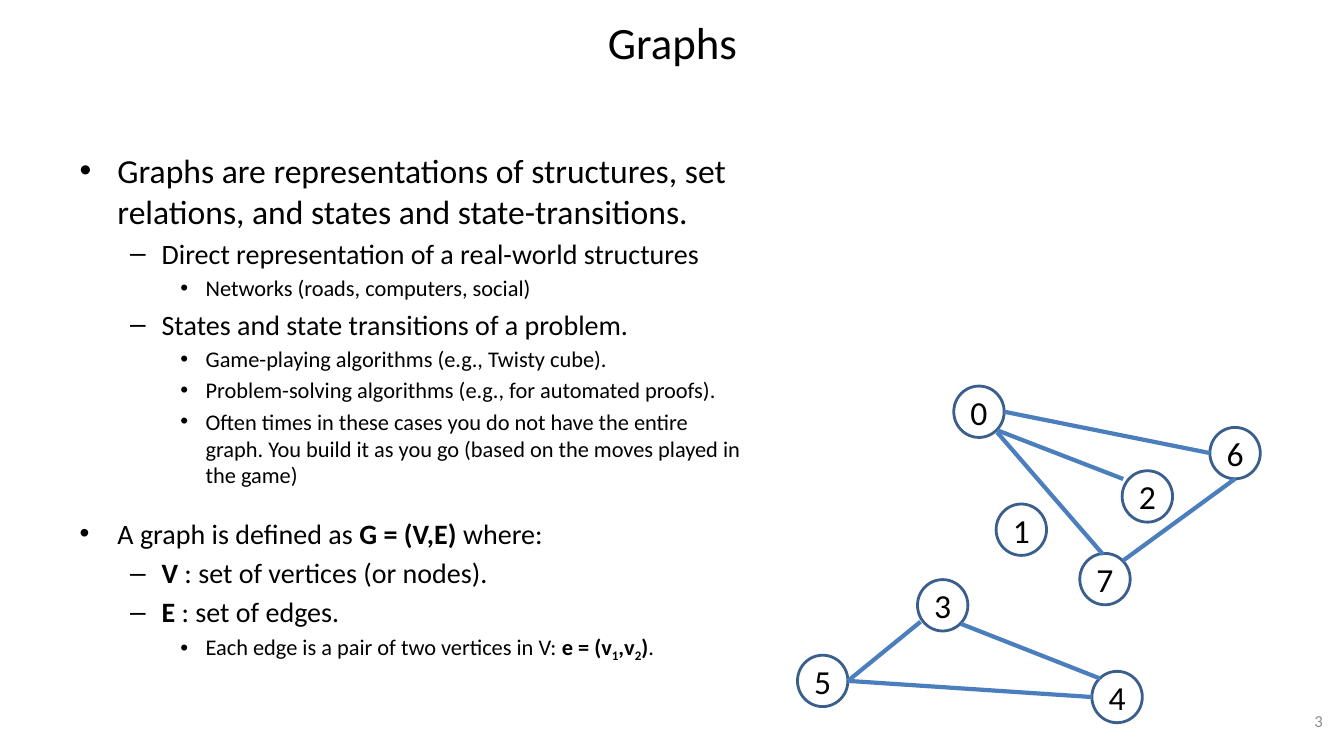
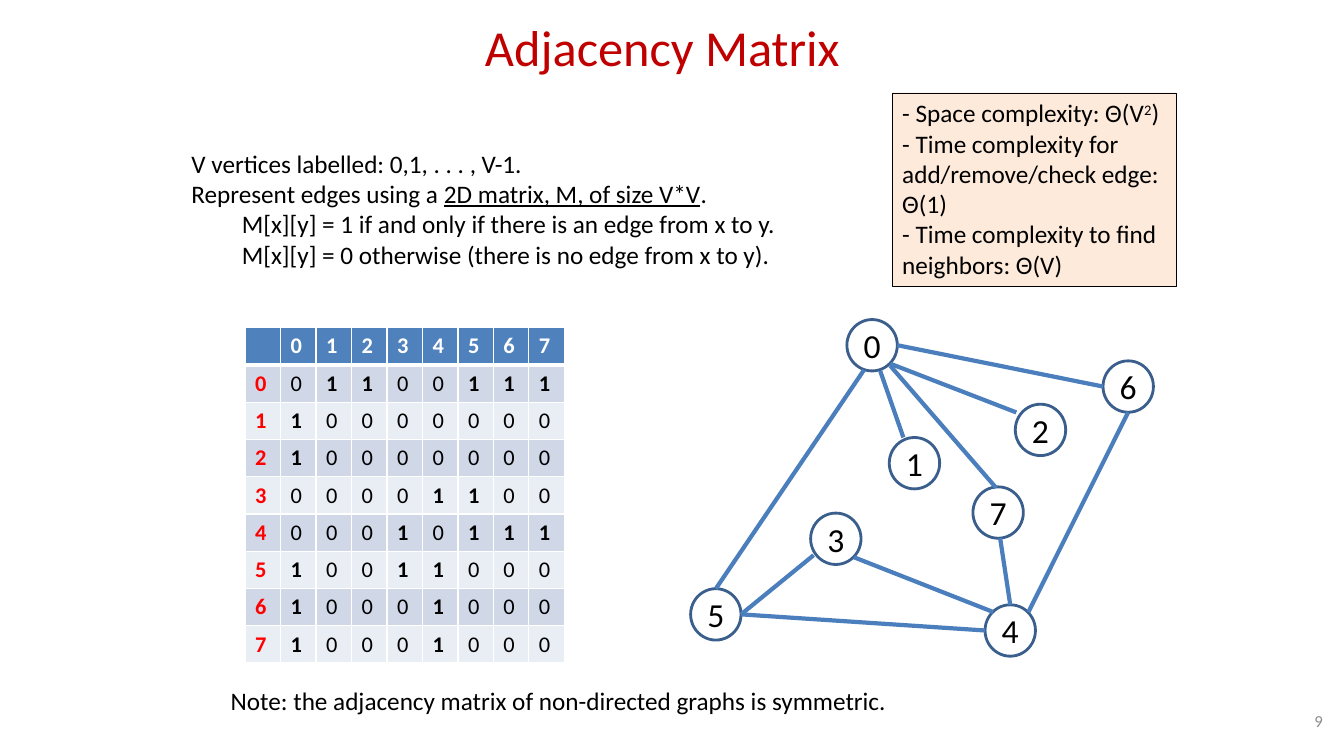
"""Build two slides on graphs and their adjacency matrix."""
from lxml.etree import SubElement
from pptx import Presentation
from pptx.dml.color import RGBColor
from pptx.enum.shapes import MSO_CONNECTOR, MSO_SHAPE
from pptx.enum.text import MSO_ANCHOR, MSO_AUTO_SIZE, PP_ALIGN
from pptx.oxml.ns import qn
from pptx.util import Inches, Pt

FONT = "Calibri"
BLACK, WHITE, GREY = "000000", "FFFFFF", "8C8C8C"
TITLE_RED, LABEL_RED = "C00000", "FF0000"
NODE_LINE, EDGE_LINE = "3A5F8C", "4B7EBC"
HEADER_FILL, BAND_FILLS = "4F81BD", ("D0D8E8", "E9EDF4")
PEACH = "FDEADA"

LEVEL_SIZES = (24, 20, 16)
SECTION_GAP = 20
GRAPH_POINTS = [
    (0, 24, ["Graphs are representations of structures, set relations, and states and state-transitions."]),
    (1, 20, ["Direct representation of a real-world structures"]),
    (2, 16, ["Networks (roads, computers, social)"]),
    (1, 20, ["States and state transitions of a problem."]),
    (2, 16, ["Game-playing algorithms (e.g., Twisty cube)."]),
    (2, 16, ["Problem-solving algorithms (e.g., for automated proofs)."]),
    (2, 16, ["Often times in these cases you do not have the entire graph. "
             "You build it as you go (based on the moves played in the game)"]),
    (0, 20, ["A graph is defined as ", ("G = (V,E)", "bold"), " where:"]),
    (1, 20, [("V", "bold"), " : set of vertices (or nodes)."]),
    (1, 20, [("E", "bold"), " : set of edges."]),
    (2, 16, ["Each edge is a pair of two vertices in V: ", ("e = (v", "bold"),
             ("1", "bold sub"), (",v", "bold"), ("2", "bold sub"), (")", "bold"), "."]),
]
DEFINITION_START = 7

MATRIX_RULES = [
    (0, ["V vertices labelled: 0,1, . . . , V-1."]),
    (0, ["Represent edges using a ", ("2D matrix, M, of size V*V", "underline"), "."]),
    (0.5, ["M[x][y] = 1 if and only if there is an edge from x to y."]),
    (0.5, ["M[x][y] = 0 otherwise (there is no edge from x to y)."]),
]
COMPLEXITIES = [
    (0, ["- Space complexity: Θ(V", ("2", "super"), ")"]),
    (0, ["- Time complexity for add/remove/check edge: Θ(1)"]),
    (0, ["- Time complexity to find neighbors: Θ(V)"]),
]
SYMMETRY_NOTE = [(0, ["Note: the adjacency matrix of non-directed graphs is symmetric."])]

NODE_SIZE = (0.5, 0.51)
NODE_OFFSETS = [(0, 0), (0.42, 1.17), (1.67, 0.84), (-0.36, 1.92),
                (1.37, 2.83), (-1.55, 2.67), (2.54, 0.41), (1.25, 1.66)]

LEFT, RIGHT, TOP, BOTTOM = (0, 0.5), (1, 0.5), (0.5, 0), (0.5, 1)
UPPER_LEFT, UPPER_RIGHT = (0.16, 0.14), (0.86, 0.14)
LOWER_LEFT, LOWER_RIGHT = (0.06, 0.82), (0.86, 0.86)
SHARED_EDGES = {
    (0, 6): (RIGHT, LEFT),
    (0, 2): (LOWER_RIGHT, (0.02, 0.16)),
    (0, 7): ((0.86, 0.9), (0.46, 0.02)),
    (5, 3): (RIGHT, LOWER_LEFT),
    (5, 4): (RIGHT, LEFT),
    (3, 4): (LOWER_RIGHT, UPPER_LEFT),
}
SPLIT_GRAPH = {**SHARED_EDGES, (6, 7): (BOTTOM, UPPER_RIGHT)}
JOINED_GRAPH = {
    **SHARED_EDGES,
    (0, 1): ((0.66, 1), (0.28, 0)),
    (0, 5): ((0.34, 0.98), TOP),
    (7, 4): ((0.54, 1), TOP),
    (6, 4): (BOTTOM, UPPER_RIGHT),
}


def rgb(value):
    """Turn a hex string into a colour."""
    return RGBColor.from_string(value)


def place(part, left, top, width, height):
    """Set a part's position and size in inches."""
    part.left, part.top = Inches(left), Inches(top)
    part.width, part.height = Inches(width), Inches(height)


def style(paragraph, size, color=BLACK, bold=None):
    """Set the font of a whole paragraph."""
    font = paragraph.font
    font.name, font.size, font.bold = FONT, Pt(size), bold
    font.color.rgb = rgb(color)


def add_runs(paragraph, pieces):
    """Write plain strings and (text, emphasis) pairs as runs."""
    for piece in pieces:
        text, emphasis = (piece, "") if isinstance(piece, str) else piece
        run = paragraph.add_run()
        run.text = text
        if "bold" in emphasis:
            run.font.bold = True
        if "underline" in emphasis:
            run.font.underline = True
        for word, shift in (("sub", "-25000"), ("super", "30000")):
            if word in emphasis.split():
                run._r.get_or_add_rPr().set("baseline", shift)


def next_paragraph(frame, index):
    """Return the first paragraph, or add a later one."""
    return frame.add_paragraph() if index else frame.paragraphs[0]


def add_text(slide, box, lines, size=18, color=BLACK, align=PP_ALIGN.LEFT):
    """Add a wrapped text box of (indent, pieces) lines."""
    note = slide.shapes.add_textbox(*map(Inches, box))
    frame = note.text_frame
    frame.word_wrap = True
    for index, (indent, pieces) in enumerate(lines):
        paragraph = next_paragraph(frame, index)
        paragraph.alignment = align
        if indent:
            paragraph._p.get_or_add_pPr().set("marL", str(Inches(indent)))
        style(paragraph, size, color)
        add_runs(paragraph, pieces)
    return note


def start_slide(deck, layout, title, box, size, color, number):
    """Add a slide with its title and page number."""
    slide = deck.slides.add_slide(deck.slide_layouts[layout])
    heading = slide.shapes.title
    place(heading, *box)
    heading.text_frame.text = title
    heading.text_frame.vertical_anchor = MSO_ANCHOR.MIDDLE
    paragraph = heading.text_frame.paragraphs[0]
    paragraph.alignment = PP_ALIGN.CENTER
    style(paragraph, size, color)
    footer = add_text(slide, (10.11, 6.95, 3.11, 0.4), [(0, [number])], 12, GREY, PP_ALIGN.RIGHT)
    footer.text_frame.vertical_anchor = MSO_ANCHOR.MIDDLE
    return slide


def fill_outline(outline, points):
    """Write the bulleted outline into the body placeholder."""
    place(outline, 0.69, 1.44, 6.78, 5.54)
    frame = outline.text_frame
    frame.auto_size = MSO_AUTO_SIZE.NONE
    frame.vertical_anchor = MSO_ANCHOR.TOP
    for index, (level, size, pieces) in enumerate(points):
        paragraph = next_paragraph(frame, index)
        paragraph.level = level
        if index == DEFINITION_START:
            paragraph.space_before = Pt(SECTION_GAP)
        style(paragraph, size)
        add_runs(paragraph, pieces)


def draw_graph(slide, origin, edges):
    """Draw the numbered nodes and the edges, with node 0 at the origin."""
    corners = [tuple(o + d for o, d in zip(origin, offset)) for offset in NODE_OFFSETS]
    for label, corner in enumerate(corners):
        node = slide.shapes.add_shape(MSO_SHAPE.OVAL, *map(Inches, corner + NODE_SIZE))
        node.shadow.inherit = False
        node.fill.background()
        node.line.color.rgb = rgb(NODE_LINE)
        node.line.width = Pt(2)
        frame = node.text_frame
        frame.margin_left = frame.margin_right = frame.margin_top = frame.margin_bottom = 0
        frame.word_wrap = False
        frame.vertical_anchor = MSO_ANCHOR.MIDDLE
        frame.text = str(label)
        frame.paragraphs[0].alignment = PP_ALIGN.CENTER
        style(frame.paragraphs[0], 24)
    for nodes, ports in edges.items():
        ends = [Inches(c + size * share)
                for node, port in zip(nodes, ports)
                for c, size, share in zip(corners[node], NODE_SIZE, port)]
        edge = slide.shapes.add_connector(MSO_CONNECTOR.STRAIGHT, *ends)
        edge.line.color.rgb = rgb(EDGE_LINE)
        edge.line.width = Pt(3)
        SubElement(edge._element.spPr, qn("a:effectLst"))


def add_border(cell, side, width):
    """Add a white border to one side of a cell."""
    line = SubElement(cell._tc.get_or_add_tcPr(), qn(f"a:ln{side}"), w=str(Pt(width)))
    SubElement(SubElement(line, qn("a:solidFill")), qn("a:srgbClr"), val=WHITE)


def add_matrix(slide, box, edges):
    """Add the adjacency matrix that follows from the edges."""
    count = len(NODE_OFFSETS)
    linked = set(edges) | {(y, x) for x, y in edges}
    rows = [["", *range(count)]]
    rows += [[x, *(int((x, y) in linked) for y in range(count))] for x in range(count)]
    frame = slide.shapes.add_table(count + 1, count + 1, *map(Inches, box))
    table = frame.table
    table.first_row = table.horz_banding = False
    for r, values in enumerate(rows):
        for c, value in enumerate(values):
            cell = table.cell(r, c)
            thick = {0: "B", 1: "T"}.get(r)
            for side in "LRTB":
                add_border(cell, side, 3 if side == thick else 1)
            cell.fill.solid()
            cell.fill.fore_color.rgb = rgb(BAND_FILLS[(r - 1) % 2] if r else HEADER_FILL)
            cell.text = str(value)
            color = WHITE if r == 0 else LABEL_RED if c == 0 else BLACK
            style(cell.text_frame.paragraphs[0], 16, color, r == 0 or c == 0 or value == 1)


def main():
    """Build and save the deck."""
    deck = Presentation()
    deck.slide_width, deck.slide_height = Inches(13.33), Inches(7.5)

    graphs = start_slide(deck, 1, "Graphs", (2.17, 0, 9, 0.83), 32, BLACK, "3")
    fill_outline(graphs.placeholders[1], GRAPH_POINTS)
    draw_graph(graphs, (9.46, 3.83), SPLIT_GRAPH)

    matrix = start_slide(deck, 5, "Adjacency Matrix", (2.07, 0, 9, 0.92), 36, TITLE_RED, "9")
    add_matrix(matrix, (2.43, 3.25, 3.17, 3.33), JOINED_GRAPH)
    draw_graph(matrix, (8.4, 3.17), JOINED_GRAPH)
    add_text(matrix, (1.8, 1.42, 6.62, 1.31), MATRIX_RULES)
    complexity = add_text(matrix, (8.85, 0.92, 2.82, 1.92), COMPLEXITIES)
    complexity.fill.solid()
    complexity.fill.fore_color.rgb = rgb(PEACH)
    complexity.line.color.rgb = rgb(BLACK)
    complexity.line.width = Pt(0.25)
    add_text(matrix, (2.19, 6.75, 7, 0.4), SYMMETRY_NOTE)

    deck.save("out.pptx")


if __name__ == "__main__":
    main()
